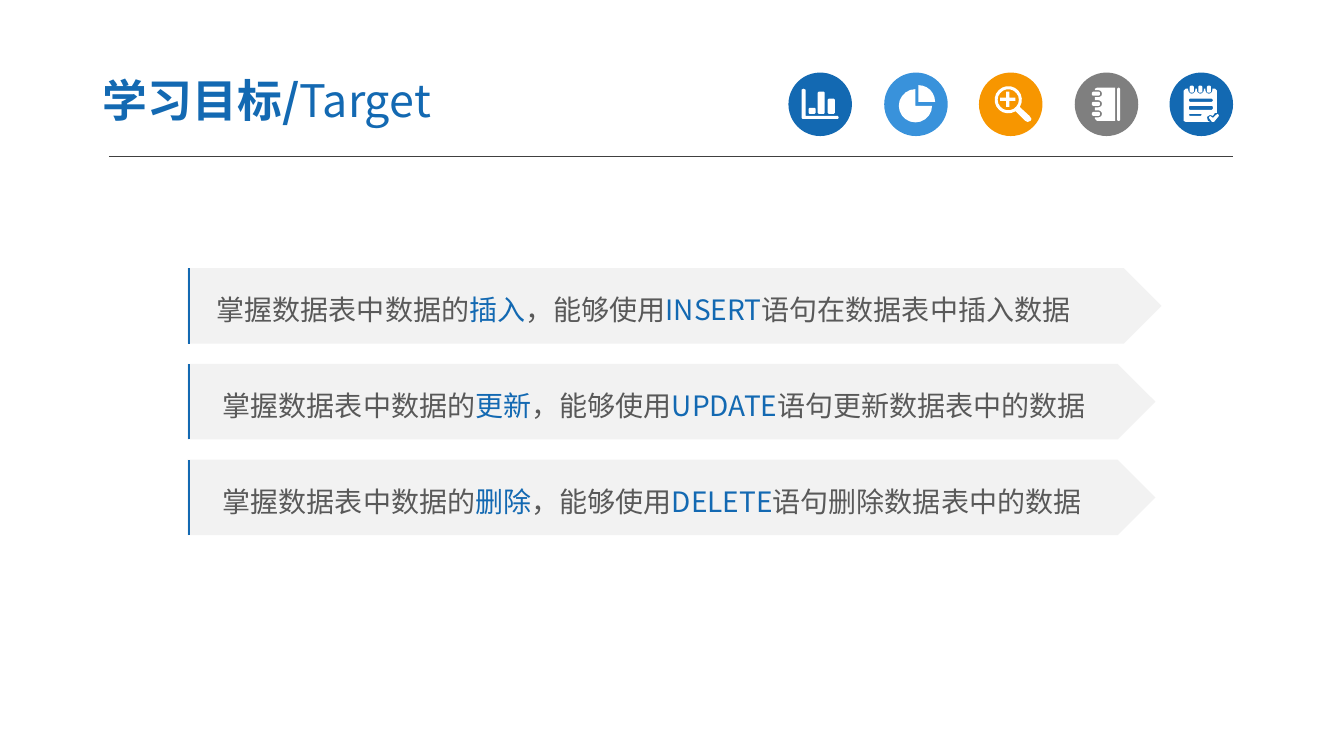
import math
import pptx
import pptx.util
import pptx.dml.color
import pptx.enum.shapes
import pptx.enum.text
import pptx.oxml.ns
import lxml.etree

PX = 9144  # one px is a hundredth of an inch
FINE = 10  # outline steps in one px
RGB = pptx.dml.color.RGBColor.from_string
THEME = {
    "font": "Noto Sans CJK SC", "title_size": 32, "goal_size": 20,
    "blue": RGB("1369B2"), "light_blue": RGB("3992DB"), "orange": RGB("F79600"),
    "grey": RGB("7F7F7F"), "white": RGB("FFFFFF"), "band": RGB("F2F2F2"),
    "text": RGB("595959"), "rule": RGB("404040"),
}
SHAPE = pptx.enum.shapes.MSO_SHAPE


def arc(center_x, center_y, radius, start, end, steps):
    """Points along an arc, in degrees clockwise from the right."""
    angles = [math.radians(start + (end - start) * step / steps) for step in range(steps + 1)]
    return [(center_x + radius * math.cos(angle), center_y + radius * math.sin(angle))
            for angle in angles]


def fill_text(shape, runs, size, frame_format):
    """Write (text, colour, bold) runs into the only paragraph of a shape."""
    for name, value in frame_format.items():
        setattr(shape.text_frame, name, value)
    paragraph = shape.text_frame.paragraphs[0]
    paragraph.alignment = pptx.enum.text.PP_ALIGN.LEFT
    for text, color_name, bold in runs:
        run = paragraph.add_run()
        run.text = text
        run_format = {"name": THEME["font"], "size": pptx.util.Pt(size), "bold": bold}
        for name, value in run_format.items():
            setattr(run.font, name, value)
        run.font.color.rgb = THEME[color_name]
        east_asian = lxml.etree.SubElement(run.font._element, pptx.oxml.ns.qn("a:ea"))
        east_asian.set("typeface", THEME["font"])
    return paragraph


presentation = pptx.Presentation()
presentation.slide_width = 1333 * PX
presentation.slide_height = 750 * PX
slide = presentation.slides.add_slide(presentation.slide_layouts[5])

# Title
title = slide.shapes.title
title_box = {"left": 89, "top": 63, "width": 522, "height": 72}
for name, value in title_box.items():
    setattr(title, name, value * PX)
title_format = {
    "margin_left": 13 * PX, "margin_right": 13 * PX,
    "margin_top": 7 * PX, "margin_bottom": 7 * PX, "word_wrap": True,
    "vertical_anchor": pptx.enum.text.MSO_ANCHOR.MIDDLE,
    "auto_size": pptx.enum.text.MSO_AUTO_SIZE.NONE,
}
fill_text(title, [("学习目标/", "blue", True), ("Target", "blue", False)],
          THEME["title_size"], title_format)

# Header rule
rule = slide.shapes.add_connector(
    pptx.enum.shapes.MSO_CONNECTOR.STRAIGHT, 108 * PX, 155 * PX, 1223 * PX, 155 * PX)
rule.line.color.rgb = THEME["rule"]
rule.line.width = pptx.util.Pt(0.75)
lxml.etree.SubElement(rule._element.spPr, pptx.oxml.ns.qn("a:effectLst"))

# Icon outlines: a tuple is a box with cut corners, a list is a polygon
bars = [[(795, 89), (797, 88), (799, 89), (799, 115), (831, 115), (832, 117), (831, 118),
         (796, 118), (795, 117)],
        (802, 107, 7, 6), (811, 91, 7, 22), (821, 98, 7, 15)]
pie = [[(908, 105)] + arc(908, 105, 16.5, 0, 270, 15),
       [(911, 101)] + arc(911, 101, 16.5, 270, 360, 6)]
magnifier = [arc(1000, 99, 13.5, 58, 392, 18)
             + [(1021, 115), (1023, 118), (1022, 120), (1019, 121), (1017, 120)],
             arc(1000, 99, 10.5, 360, 0, 18),
             [(992, 97), (998, 97), (998, 91), (1001, 91), (1001, 97), (1007, 97),
              (1007, 100), (1001, 100), (1001, 106), (998, 106), (998, 100), (992, 100)]]
cover = [(1086, 88), (1088, 87), (1106, 87), (1106, 120), (1088, 120), (1086, 118)]
notebook = [cover, (1108, 87, 3, 33)]
for ring_center in (113, 103, 93):
    cover += [(1086, ring_center + 3.5)]
    cover += arc(1089.5, ring_center, 3.5, 90, -90, 6)
    cover += [(1086, ring_center - 3.5)]
    notebook.append((1083, ring_center - 2, 8, 4))
page = [(1174, 90), (1176, 88)]
notepad = [page, (1179, 98, 24, 3), (1179, 105, 24, 4), (1179, 113, 13, 2)]
for ring_center in (1182, 1190.5, 1199):
    page += [(ring_center - 3.5, 88)]
    page += arc(ring_center, 89.5, 3.5, 180, 0, 6)
    page += [(ring_center + 3.5, 88)]
    notepad.append((ring_center - 2, 85, 4, 7))
page += [(1205, 88), (1207, 90), (1207, 112), (1205, 112), (1203, 115), (1200, 114),
         (1197, 116), (1198, 120), (1200, 121), (1176, 121), (1174, 120)]
notepad.append([(1199, 117), (1200, 115), (1203, 117), (1206, 114), (1208, 113), (1209, 115),
                (1204, 121), (1202, 121)])
icons = [(4, "blue", notepad), (2, "orange", magnifier), (3, "grey", notebook),
         (0, "blue", bars), (1, "light_blue", pie)]

# Each icon is a disc with one white figure
for place, disc_color, contours in icons:
    disc = slide.shapes.add_shape(
        SHAPE.OVAL, (1565 + 189 * place) // 2 * PX, 72 * PX, 63 * PX, 63 * PX)
    builder = None
    for contour in contours:
        if isinstance(contour, tuple):
            left, top, width, height = contour
            right, bottom = left + width, top + height
            contour = [(left, top + 1), (left + 1, top), (right - 1, top), (right, top + 1),
                       (right, bottom - 1), (right - 1, bottom), (left + 1, bottom),
                       (left, bottom - 1)]
        points = [(x * FINE, y * FINE) for x, y in contour]
        if builder is None:
            builder = slide.shapes.build_freeform(*points[0], scale=PX / FINE)
        else:
            builder.move_to(*points[0])
        builder.add_line_segments(points[1:], close=True)
    for shape, color_name in ((disc, disc_color), (builder.convert_to_shape(), "white")):
        shape.shadow.inherit = False
        shape.fill.solid()
        shape.fill.fore_color.rgb = THEME[color_name]
        shape.line.fill.background()

# Goals: arrow width, text indent, verb, statement, rest of the sentence
goals = [
    (966, 29, "插入", "INSERT", "语句在数据表中插入数据"),
    (960, 35, "更新", "UPDATE", "语句更新数据表中的数据"),
    (960, 35, "删除", "DELETE", "语句删除数据表中的数据"),
]
for index, (width, indent, verb, statement, ending) in enumerate(goals):
    top = 266 + 95 * index
    band = slide.shapes.add_shape(SHAPE.PENTAGON, 186 * PX, top * PX, width * PX, 75 * PX)
    band.shadow.inherit = False
    band.fill.solid()
    band.fill.fore_color.rgb = THEME["band"]
    band.line.fill.background()
    band_format = {"margin_left": indent * PX, "word_wrap": True,
                   "vertical_anchor": pptx.enum.text.MSO_ANCHOR.MIDDLE}
    runs = [("掌握数据表中数据的", "text", False), (verb, "blue", False),
            ("，能够使用", "text", False), (statement, "blue", False), (ending, "text", False)]
    fill_text(band, runs, THEME["goal_size"], band_format).line_spacing = 1.2

    # Left edge: an open outline in a frame 15 px wide
    edge_builder = slide.shapes.build_freeform(187, top + 75, scale=PX)
    edge_builder.add_line_segments([(187, top)], close=False)
    edge_builder.move_to(202, top)
    edge = edge_builder.convert_to_shape()
    edge.shadow.inherit = False
    edge.fill.background()
    edge.line.color.rgb = THEME["blue"]
    edge.line.width = pptx.util.Pt(1.5)

presentation.save("out.pptx")
